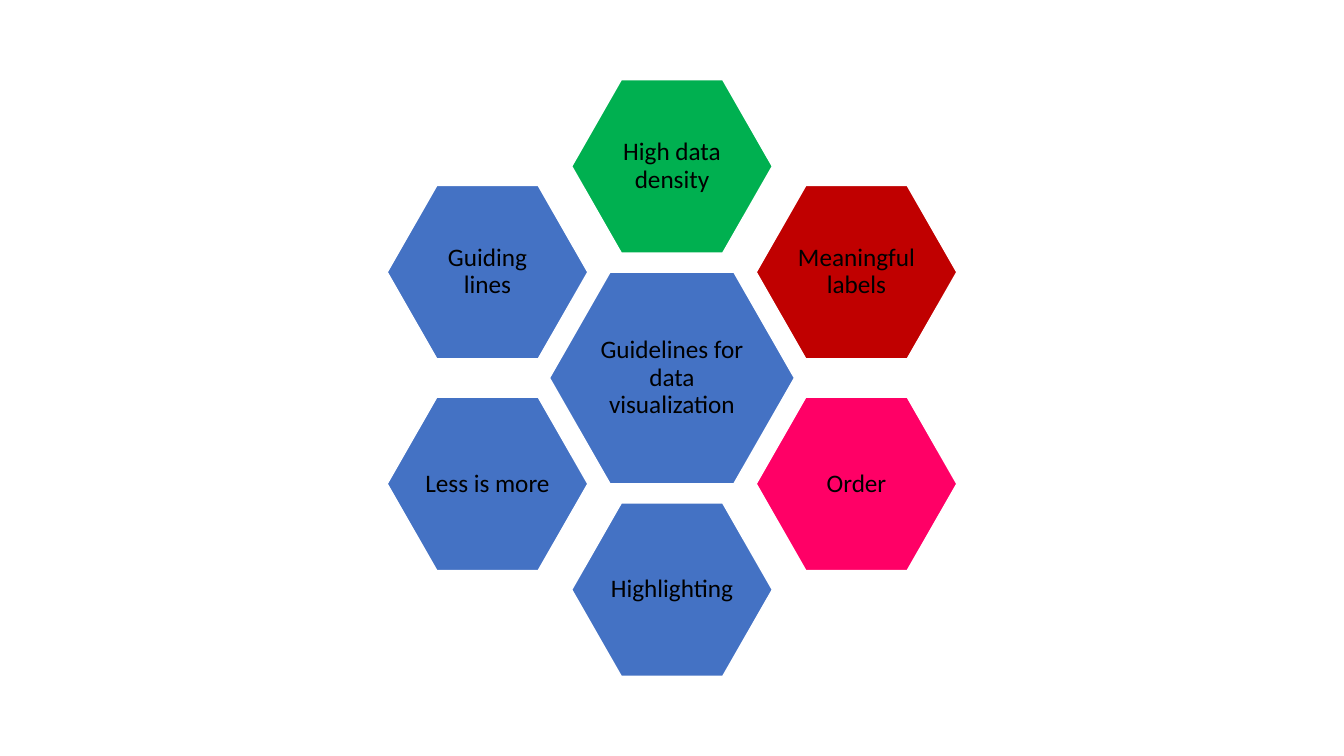
from pptx import Presentation
from pptx.dml.color import RGBColor
from pptx.enum.shapes import MSO_SHAPE
from pptx.enum.text import MSO_ANCHOR, PP_ALIGN
from pptx.util import Inches, Pt

HEXAGON = MSO_SHAPE.HEXAGON
MIDDLE = MSO_ANCHOR.MIDDLE
CENTER = PP_ALIGN.CENTER

WIDTH, HEIGHT = 13.33, 7.5
COL, ROW = 1.83, 1.05
HUB, CELL = (2.43, 2.1), (1.99, 1.72)
COLORS = {
    "blue": "4472C4",
    "green": "00B050",
    "red": "C00000",
    "pink": "FF0066",
    "white": "FFFFFF",
    "black": "000000",
}
INSET = Inches(0.03)
FRAME = {
    "word_wrap": True,
    "vertical_anchor": MIDDLE,
    "margin_left": INSET,
    "margin_right": INSET,
    "margin_top": INSET,
    "margin_bottom": INSET,
}
PARA = {"alignment": CENTER, "line_spacing": 0.9}
FONT = {"name": "Calibri", "size": Pt(18)}
CELLS = [
    ("Guidelines for data visualization", 0, 0, HUB, "blue"),
    ("High data density", 0, -2, CELL, "green"),
    ("Meaningful labels", 1, -1, CELL, "red"),
    ("Order", 1, 1, CELL, "pink"),
    ("Highlighting", 0, 2, CELL, "blue"),
    ("Less is more", -1, 1, CELL, "blue"),
    ("Guiding lines", -1, -1, CELL, "blue"),
]


def color(name):
    return RGBColor.from_string(COLORS[name])


def style(item, values):
    for key, value in values.items():
        setattr(item, key, value)


def add_label(shape, text):
    frame = shape.text_frame
    para = frame.paragraphs[0]
    run = para.add_run()
    run.text = text
    style(frame, FRAME)
    style(para, PARA)
    style(run.font, FONT)
    run.font.color.rgb = color("black")


def add_cell(group, text, col, row, size, fill):
    """Add a labelled hexagon, centred col and row steps from mid-slide."""
    wide, high = size
    left = WIDTH / 2 + col * COL - wide / 2
    top = HEIGHT / 2 + row * ROW - high / 2
    shape = group.shapes.add_shape(
        HEXAGON, Inches(left), Inches(top), Inches(wide), Inches(high)
    )
    shape.adjustments[0] = 0.286
    shape.shadow.inherit = False
    shape.fill.solid()
    shape.fill.fore_color.rgb = color(fill)
    shape.line.color.rgb = color("white")
    shape.line.width = Pt(1)
    add_label(shape, text)


def main():
    deck = Presentation()
    deck.slide_width, deck.slide_height = Inches(WIDTH), Inches(HEIGHT)
    slide = deck.slides.add_slide(deck.slide_layouts[6])
    group = slide.shapes.add_group_shape()
    for cell in CELLS:
        add_cell(group, *cell)
    deck.save("out.pptx")


if __name__ == "__main__":
    main()
